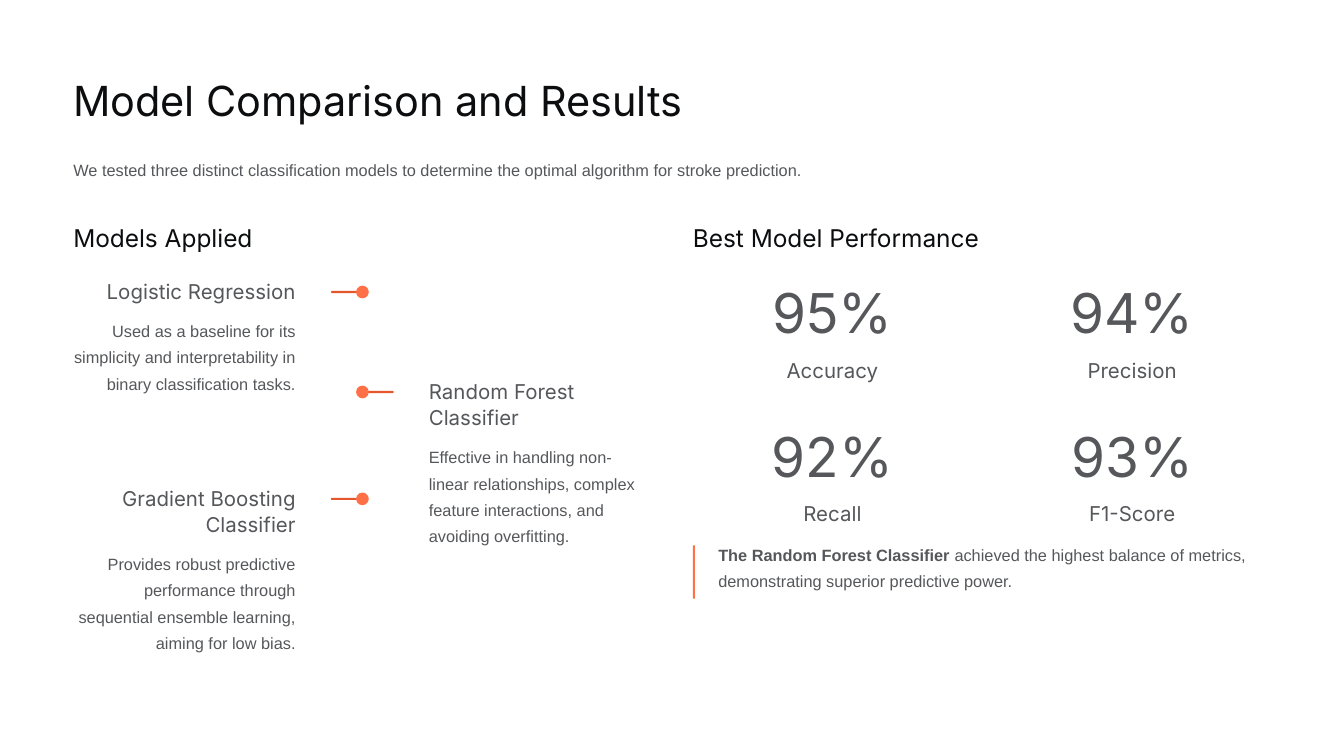
from pptx import Presentation
from pptx.dml.color import RGBColor
from pptx.enum.shapes import MSO_SHAPE
from pptx.enum.text import PP_ALIGN
from pptx.util import Cm, Pt

COLORS = {
    "background": "FFFFFF",
    "heading": "0C0D0F",
    "body": "55575A",
    "stem": "E5562D",
    "accent": "FF7047",
}
LEFT, RIGHT, CENTER = PP_ALIGN.LEFT, PP_ALIGN.RIGHT, PP_ALIGN.CENTER

# Text styles: font, size, line spacing, colour
STYLES = {
    "title": ("Inter", 44.4, 55.6, "heading"),
    "section": ("Inter", 26.2, 33.1, "heading"),
    "label": ("Inter", 21.9, 27.5, "body"),
    "figure": ("Inter", 58.8, 58.8, "body"),
    "text": ("Arial", 17.5, 28.1, "body"),
}

deck = Presentation()
deck.slide_width, deck.slide_height = Cm(50.8), Cm(28.58)
page = deck.slides.add_slide(deck.slide_layouts[6])
page.background.fill.solid()
page.background.fill.fore_color.rgb = RGBColor.from_string(COLORS["background"])


def add_text(text, style, left, top, width, height, align=LEFT):
    font_name, size, spacing, color = STYLES[style]
    box = page.shapes.add_textbox(Cm(left), Cm(top), Cm(width), Cm(height))
    frame = box.text_frame
    frame.word_wrap = True
    frame.margin_left = frame.margin_right = frame.margin_top = frame.margin_bottom = 0
    frame.text = text
    para = frame.paragraphs[0]
    para.alignment = align
    para.line_spacing = Pt(spacing)
    para.font.name = font_name
    para.font.size = Pt(size)
    para.font.color.rgb = RGBColor.from_string(COLORS[color])
    return para


def add_mark(kind, color, left, top, width, height):
    mark = page.shapes.add_shape(kind, Cm(left), Cm(top), Cm(width), Cm(height))
    mark.shadow.inherit = False
    mark.fill.solid()
    mark.fill.fore_color.rgb = RGBColor.from_string(COLORS[color])
    mark.line.fill.background()
    return mark


# Title, introduction and section headings
first_column, second_column = 2.77, 26.19
add_text("Model Comparison and Results", "title", first_column, 2.77, 23.6, 2.06)
add_text("We tested three distinct classification models to determine the optimal "
         "algorithm for stroke prediction.", "text", first_column, 5.82, 45.29, 1.27)
add_text("Models Applied", "section", first_column, 8.38, 9.45, 1.24)
add_text("Best Model Performance", "section", second_column, 8.38, 12, 1.24)

# Models, alternating around a row of timeline dots
models = [
    ("Logistic Regression", "Used as a baseline for its simplicity and "
     "interpretability in binary classification tasks.", RIGHT, 10.52, 1.02, 3.28),
    ("Random Forest Classifier", "Effective in handling non-linear relationships, "
     "complex feature interactions, and avoiding overfitting.", LEFT, 14.3, 2.01, 4.29),
    ("Gradient Boosting Classifier", "Provides robust predictive performance through "
     "sequential ensemble learning, aiming for low bias.", RIGHT, 18.34, 2.01, 4.29),
]
dot_size, stem_height = 0.48, 0.08
for name, description, align, top, name_height, description_height in models:
    text_left, stem_left = (first_column, 12.51) if align == RIGHT else (16.21, 13.62)
    middle = top + 0.52
    stem = add_mark(MSO_SHAPE.ROUNDED_RECTANGLE, "stem",
                    stem_left, middle - stem_height / 2, 1.26, stem_height)
    stem.adjustments[0] = 0.5
    add_mark(MSO_SHAPE.OVAL, "accent", 13.46, middle - dot_size / 2, dot_size, dot_size)
    add_text(name, "label", text_left, top, 8.41, name_height, align)
    add_text(description, "text", text_left, top + name_height + 0.36,
             8.41, description_height, align)

# Metrics in a two by two grid
metrics = [("95%", "Accuracy"), ("94%", "Precision"), ("92%", "Recall"), ("93%", "F1-Score")]
for index, (figure, label) in enumerate(metrics):
    row, column = divmod(index, 2)
    left = second_column + column * 11.33
    top = 10.95 + row * 5.43
    add_text(figure, "figure", left, top, 10.54, 1.75, CENTER)
    add_text(label, "label", left + 1.34, top + 2.53, 7.87, 1.02, CENTER)

# Conclusion with an accent bar
para = add_text("The Random Forest Classifier", "text", 27.15, 20.37, 20.93, 2.29)
para.runs[0].font.bold = True
span = para.add_run()
span.text = " achieved the highest balance of metrics, demonstrating superior predictive power."
add_mark(MSO_SHAPE.RECTANGLE, "accent", second_column, 20.62, 0.08, 2.01)

deck.save("out.pptx")
